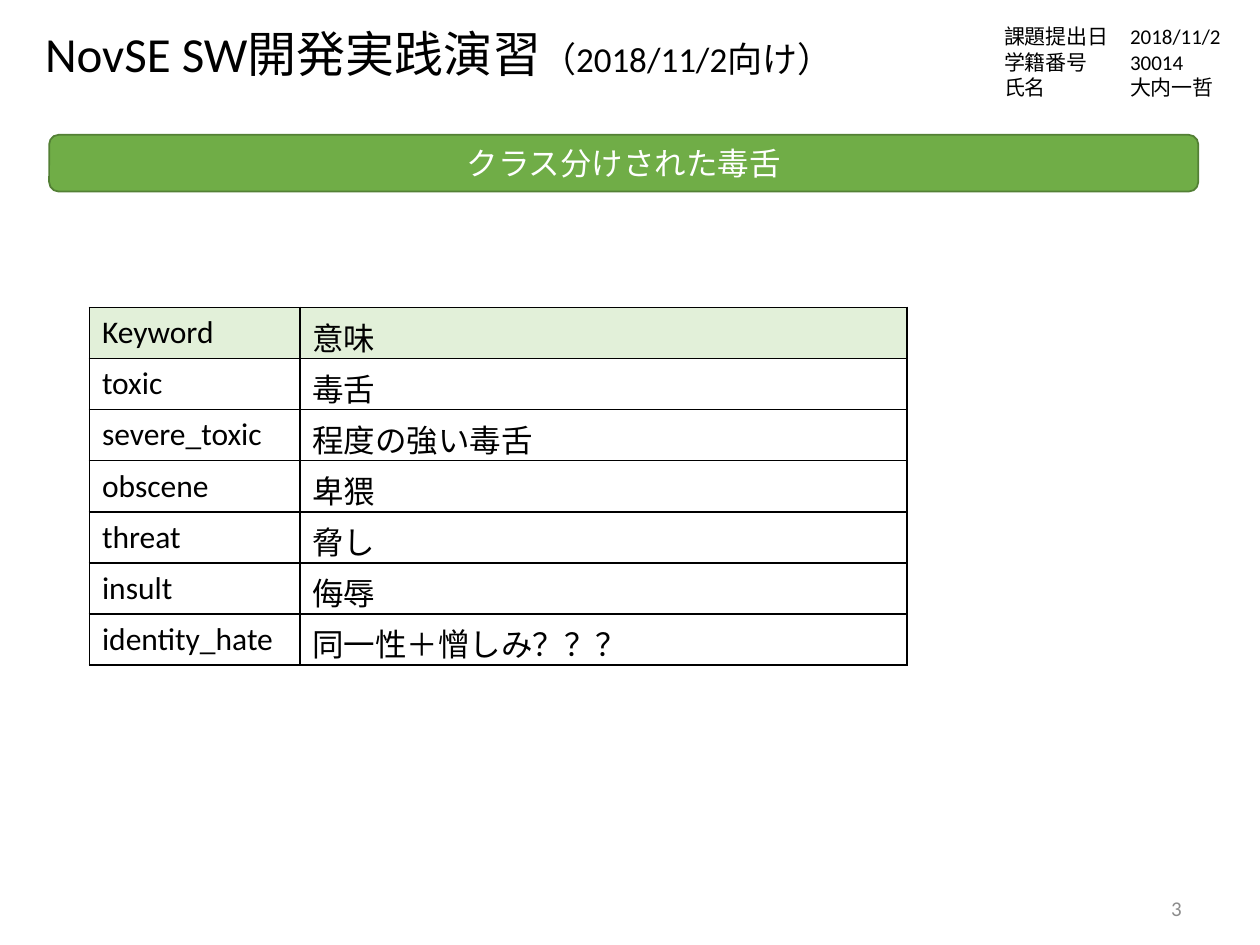
from pptx import Presentation
from pptx.dml.color import RGBColor
from pptx.enum.shapes import MSO_SHAPE
from pptx.enum.text import MSO_ANCHOR, PP_ALIGN
from pptx.oxml import parse_xml
from pptx.oxml.ns import nsdecls
from pptx.util import Inches, Pt

THEME = {
    "font": "Calibri",
    "black": "000000", "white": "FFFFFF", "gray": "8C8C8C",
    "green": "70AD47", "edge": "538035", "pale": "E2F0D9",
    "title": 28, "date": 20, "body": 18, "small": 12,
}


def style(para, size, color="black"):
    """Set the font of a paragraph from the theme."""
    para.font.name = THEME["font"]
    para.font.size = Pt(THEME[size])
    para.font.color.rgb = RGBColor.from_string(THEME[color])


def add_text(left, top, width, height, lines, size, color="black"):
    """Add a wrapping text box with one paragraph per line."""
    box = slide.shapes.add_textbox(
        Inches(left), Inches(top), Inches(width), Inches(height))
    frame = box.text_frame
    frame.word_wrap = True
    frame.text = "\n".join(lines)
    for para in frame.paragraphs:
        style(para, size, color)
    return frame


prs = Presentation()
prs.slide_width, prs.slide_height = Inches(10), Inches(7.5)
slide = prs.slides.add_slide(prs.slide_layouts[6])

# Header: student details and course title
details = ["課題提出日\t2018/11/2", "学籍番号\t30014", "氏名\t\t大内一哲"]
info = add_text(7.87, 0.14, 2.11, 0.71, details, "small")
for para in info.paragraphs:
    stops = "".join(
        f'<a:tab pos="{Inches(pos)}" algn="l"/>' for pos in (0.5, 1))
    tabs = parse_xml(f'<a:tabLst {nsdecls("a")}>{stops}</a:tabLst>')
    para._p.get_or_add_pPr().insert(0, tabs)

title = add_text(0.26, 0.14, 9.47, 0.57, ["NovSE SW開発実践演習"], "title")
date = title.paragraphs[0].add_run()
date.text = "（2018/11/2向け）"
date.font.size = Pt(THEME["date"])

# Slide number
number = add_text(8.42, 7.01, 0.96, 0.4, ["3"], "small", "gray")
number.margin_right = 0
number.vertical_anchor = MSO_ANCHOR.MIDDLE
number.paragraphs[0].alignment = PP_ALIGN.RIGHT

# Section banner
banner = slide.shapes.add_shape(
    MSO_SHAPE.ROUNDED_RECTANGLE,
    Inches(0.39), Inches(1.07), Inches(9.12), Inches(0.45))
banner.shadow.inherit = False
banner.fill.solid()
banner.fill.fore_color.rgb = RGBColor.from_string(THEME["green"])
banner.line.color.rgb = RGBColor.from_string(THEME["edge"])
banner.line.width = Pt(1)
banner.text_frame.text = "クラス分けされた毒舌"
heading = banner.text_frame.paragraphs[0]
heading.alignment = PP_ALIGN.CENTER
style(heading, "body", "white")

# Keyword table
words = [
    ("Keyword", "意味"),
    ("toxic", "毒舌"),
    ("severe_toxic", "程度の強い毒舌"),
    ("obscene", "卑猥"),
    ("threat", "脅し"),
    ("insult", "侮辱"),
    ("identity_hate", "同一性＋憎しみ？？？"),
]
widths = [1.67, 4.82]
table = slide.shapes.add_table(
    len(words), len(widths), Inches(0.71), Inches(2.44),
    Inches(sum(widths)), Inches(2.84)).table
table.first_row = table.horz_banding = False
for col, width in zip(table.columns, widths):
    col.width = Inches(width)

for r, row in enumerate(words):
    for c, word in enumerate(row):
        cell = table.cell(r, c)
        cell.text = word
        style(cell.text_frame.paragraphs[0], "body")
        props = cell._tc.get_or_add_tcPr()
        for side in "LRTB":
            props.append(parse_xml(
                f'<a:ln{side} {nsdecls("a")} w="{Pt(1)}"><a:solidFill>'
                f'<a:srgbClr val="{THEME["black"]}"/>'
                f'</a:solidFill></a:ln{side}>'))
        if r == 0:
            cell.fill.solid()
            cell.fill.fore_color.rgb = RGBColor.from_string(THEME["pale"])
        else:
            cell.fill.background()

prs.save("out.pptx")
